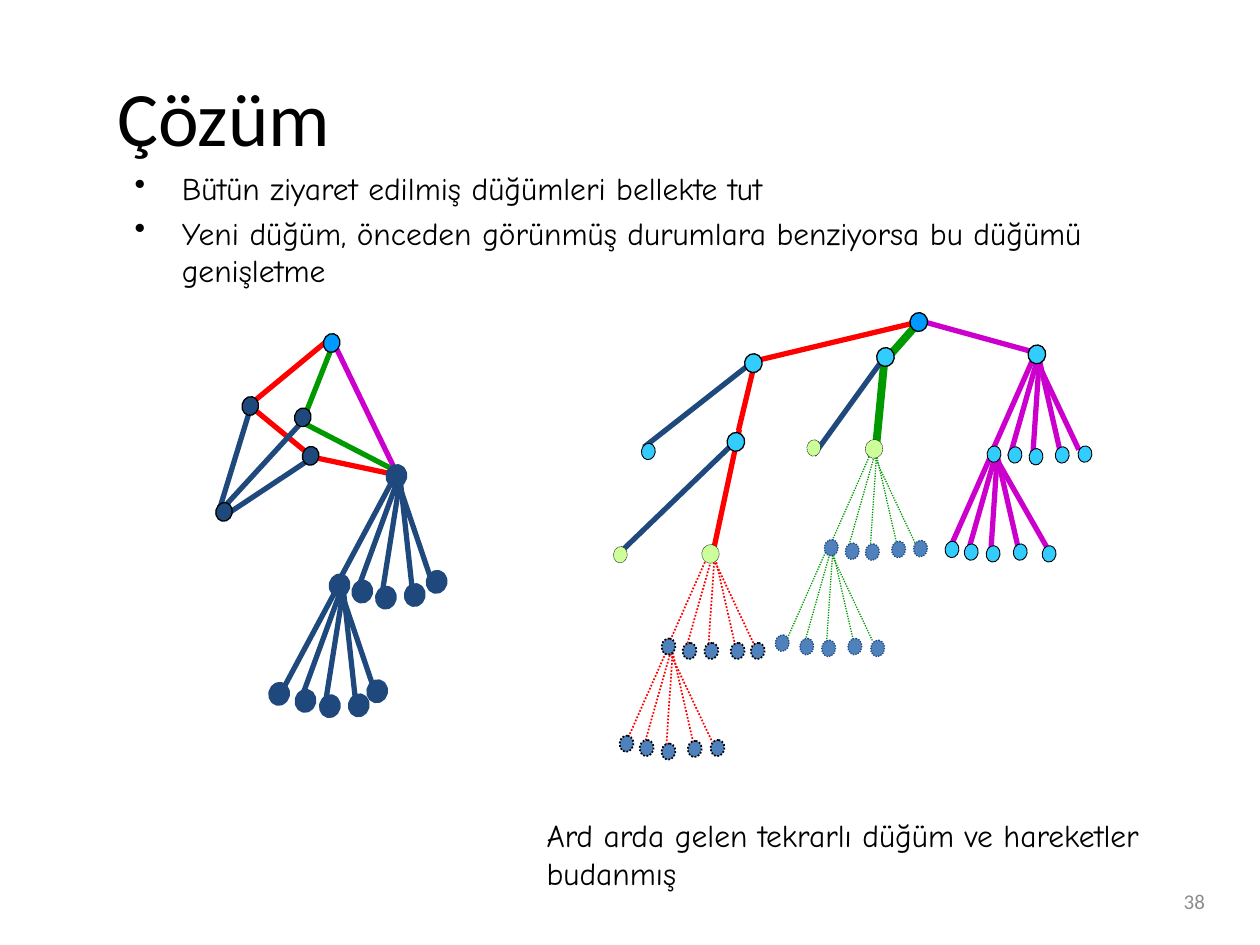
from lxml.etree import SubElement
from pptx import Presentation
from pptx.dml.color import RGBColor
from pptx.enum.dml import MSO_LINE_DASH_STYLE as Dash
from pptx.enum.shapes import MSO_CONNECTOR as Connector, MSO_SHAPE as Shape
from pptx.enum.text import MSO_ANCHOR as Anchor, PP_ALIGN as Align
from pptx.oxml.ns import qn
from pptx.util import Pt

NAVY, BLUE, CYAN, SKY = "1F497D", "4F81BD", "33CCFF", "0099FF"
RED, GREEN, MAGENTA, LIME, BLACK = "FF0000", "009900", "CC00CC", "CCFF99", "000000"

TEXTS = [
    dict(lines=["38"], box=(527.8, 500.4, 167.8, 28.8), size=12, font="Calibri",
         color="8C8C8C", align=Align.RIGHT, frame=dict(vertical_anchor=Anchor.MIDDLE)),
    dict(lines=["Bütün ziyaret edilmiş düğümleri bellekte tut",
                "Yeni düğüm, önceden görünmüş durumlara benziyorsa bu düğümü genişletme"],
         box=(69.8, 60.5, 632.2, 370.8), size=18, font="Comic Neue", color=BLACK,
         before=4, indent=(27, -27), bullet="•", frame=dict(margin_top=Pt(36))),
    dict(lines=["Ard arda gelen tekrarlı düğüm ve hareketler budanmış"],
         box=(269.3, 463, 429.8, 50.4), size=18, font="Comic Neue", color=BLACK,
         before=4, indent=(36, 0), frame={}),
    dict(lines=["Çözüm"], box=(59.8, 20.9, 635.8, 90), size=44, font="Calibri",
         color=BLACK, frame=dict(vertical_anchor=Anchor.MIDDLE)),
]

BRANCHES = [
    (MAGENTA, 3, [((191, 196.5), (227.5, 272)), ((526.5, 183.5), (595.5, 202.5))]),
    (GREEN, 3, [((172, 241), (228, 270)), ((191, 195), (175, 235.5))]),
    (GREEN, 4.5, [((523.5, 186), (504.5, 207.5)), ((506, 199.5), (500.5, 256.5))]),
    (RED, 3, [((188.5, 193.5), (145.5, 229)), ((143.5, 232.5), (177, 260)),
              ((229.5, 272), (180, 261.5)), ((422.5, 245.5), (407.5, 315.5)),
              ((529, 183), (430.5, 206.5)), ((422, 246), (431.5, 206.5))]),
    (NAVY, 3, [((143.5, 232), (124.5, 294)), ((178.5, 261.5), (128, 295)),
               ((175, 238.5), (125.5, 292.5)), ((505.5, 204), (465, 260)),
               ((421, 251.5), (352, 318)), ((430.5, 206.5), (368, 255.5))]),
]

RAY_STARTS = [(0, 0), (-0.7, -0.4), (-2.5, -1.5), (-3, -1), (-0.5, 0)]
NARROW = [(-4, 59), (-17, 57), (-27.5, 55), (22.5, 53), (12.5, 57)]
WIDE = NARROW[:3] + [(29.5, 56)] + NARROW[4:]
TALL = [(-11, 69.5), (-25, 66), (-37, 63), (19.5, 65.5), (7, 68.5)]

BIG, SMALL, JOINT = (10.8, 9.4, 102.7), (9.4, 7.9, 98), (10.1, 10.8, 188)
NAVY_LEAF = (BIG, NAVY, NAVY, 3, None)
CYAN_LEAF = (SMALL, CYAN, BLACK, 0.5, None)
GREEN_LEAF = (SMALL, BLUE, NAVY, 0.75, Dash.ROUND_DOT)
RED_LEAF = (SMALL, BLUE, BLACK, 1, Dash.ROUND_DOT)

FANS = [
    ((229, 272), TALL, (NAVY, 3, None), NAVY_LEAF,
     [(194, 334.5), (207, 338), (220.5, 341.5), (237, 340), (249.5, 332.5)]),
    ((196.5, 335), TALL, (NAVY, 3, None), NAVY_LEAF,
     [(159.5, 396.5), (174.5, 400.5), (188.5, 403.5), (205, 403), (215.5, 395)]),
    ((594, 204), NARROW, (MAGENTA, 3, None), CYAN_LEAF,
     [(568, 259.5), (580, 260), (592, 261), (607, 260), (620, 259.5)]),
    ((570, 259), WIDE, (MAGENTA, 3, None), CYAN_LEAF,
     [(544, 314), (555, 315.5), (567.5, 316.5), (583, 315.5), (599.5, 316.5)]),
    ((501, 258.5), NARROW, (GREEN, 0.75, Dash.ROUND_DOT), GREEN_LEAF,
     [(475, 313), (487, 315), (498.5, 315.5), (513.5, 314), (526, 313.5)]),
    ((476, 313), NARROW, (GREEN, 0.75, Dash.ROUND_DOT), GREEN_LEAF,
     [(447, 367.5), (461, 369.5), (473.5, 370.5), (488.5, 369.5), (501.5, 370.5)]),
    ((408.5, 315.5), NARROW, (RED, 1, Dash.ROUND_DOT), RED_LEAF,
     [(382, 369.5), (394, 372), (406.5, 372), (421.5, 372), (433, 372)]),
    ((384.5, 371), NARROW, (RED, 1, Dash.ROUND_DOT), RED_LEAF,
     [(358, 425), (369.5, 427.5), (382, 429.5), (397, 428), (410, 427.5)]),
]

NODES = [
    (NAVY_LEAF, [(226.5, 272)]),
    ((BIG, NAVY, BLACK, 0.75, None), [(143, 232), (128, 292.5), (177.5, 260.5), (173, 238.5)]),
    ((BIG, SKY, BLACK, 0.75, None), [(189.5, 196)]),
    ((JOINT, SKY, BLACK, 0.75, None), [(525, 184)]),
    ((JOINT, CYAN, BLACK, 0.75, None),
     [(592.5, 202.5), (506, 204), (430.5, 207.5), (420.5, 252.5)]),
    ((JOINT, LIME, BLACK, 0.25, Dash.ROUND_DOT), [(499.5, 256.5), (406, 316.5)]),
    ((SMALL, LIME, BLACK, 0.25, Dash.ROUND_DOT), [(465, 256), (354.5, 317)]),
    (CYAN_LEAF, [(370.5, 258)]),
]


def rgb(value):
    """Turn a hex string into a colour."""
    return RGBColor.from_string(value)


def assign(target, values):
    """Set each attribute named in values."""
    for key, value in values.items():
        setattr(target, key, value)


def set_line(line, color, width, dash):
    """Format a line or an outline."""
    line.color.rgb = rgb(color)
    assign(line, dict(width=Pt(width), dash_style=dash))


def add_edge(slide, start, end, color, width, dash=None):
    """Draw a straight edge between two points."""
    edge = slide.shapes.add_connector(Connector.STRAIGHT, *map(Pt, start + end))
    set_line(edge.line, color, width, dash)
    SubElement(edge._element.spPr, qn("a:effectLst"))


def add_node(slide, center, size, fill, outline, width, dash):
    """Draw a tree node around its center."""
    across, down, turn = size
    left, top = center[0] - across / 2, center[1] - down / 2
    node = slide.shapes.add_shape(Shape.OVAL, Pt(left), Pt(top), Pt(across), Pt(down))
    node.rotation = turn
    node.shadow.inherit = False
    node.fill.solid()
    node.fill.fore_color.rgb = rgb(fill)
    set_line(node.line, outline, width, dash)


def add_text(slide, lines, box, size, font, color, frame,
             align=Align.LEFT, before=0, indent=(0, 0), bullet=None):
    """Write paragraphs that share one format."""
    body = slide.shapes.add_textbox(*map(Pt, box)).text_frame
    assign(body, dict(word_wrap=True, **frame))
    body.text = "\n".join(lines)
    for paragraph in body.paragraphs:
        assign(paragraph, dict(alignment=align, space_before=Pt(before)))
        assign(paragraph.font, dict(size=Pt(size), name=font))
        paragraph.font.color.rgb = rgb(color)
        for run in paragraph.runs:
            assign(run.font, dict(size=Pt(size), name=font))
            run.font.color.rgb = rgb(color)
        props = paragraph._p.get_or_add_pPr()
        for key, value in zip(("marL", "indent"), indent):
            props.set(key, str(int(Pt(value))))
        if bullet:
            mark = props.makeelement(qn("a:buChar"), {"char": bullet})
            props.insert_element_before(mark, "a:tabLst", "a:defRPr", "a:extLst")


def main():
    """Build the slide and save it."""
    deck = Presentation()
    assign(deck, dict(slide_width=Pt(720), slide_height=Pt(540)))
    slide = deck.slides.add_slide(deck.slide_layouts[6])
    for color, width, edges in BRANCHES:
        for start, end in edges:
            add_edge(slide, start, end, color, width)
    for (x, y), tips, style, _, _ in FANS:
        for (x1, y1), (x2, y2) in zip(RAY_STARTS, tips):
            add_edge(slide, (x + x1, y + y1), (x + x2, y + y2), *style)
    for style, centers in [fan[3:] for fan in FANS] + NODES:
        for center in centers:
            add_node(slide, center, *style)
    for text in TEXTS:
        add_text(slide, **text)
    deck.save("out.pptx")


if __name__ == "__main__":
    main()
